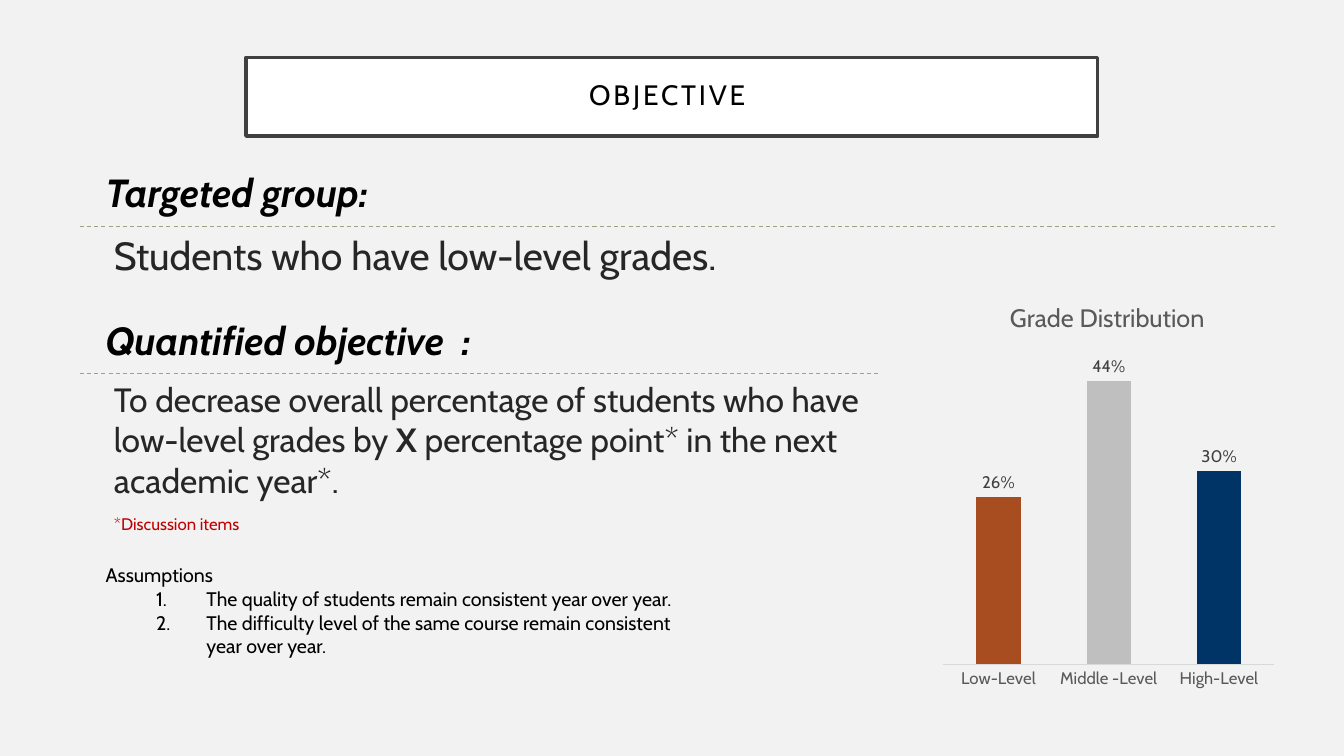
from lxml import etree
from pptx import Presentation
from pptx.chart.data import CategoryChartData
from pptx.dml.color import RGBColor
from pptx.enum.chart import XL_CHART_TYPE, XL_LABEL_POSITION, XL_TICK_MARK
from pptx.enum.dml import MSO_LINE
from pptx.enum.shapes import MSO_CONNECTOR
from pptx.enum.text import MSO_ANCHOR, MSO_AUTO_SIZE, PP_ALIGN
from pptx.oxml import parse_xml
from pptx.oxml.ns import nsdecls, qn
from pptx.util import Pt

COLUMNS = XL_CHART_TYPE.COLUMN_CLUSTERED
OUTSIDE_END = XL_LABEL_POSITION.OUTSIDE_END
NO_TICKS = XL_TICK_MARK.NONE
DASH = MSO_LINE.DASH
STRAIGHT = MSO_CONNECTOR.STRAIGHT
MIDDLE = MSO_ANCHOR.MIDDLE
FIXED_SIZE = MSO_AUTO_SIZE.NONE
LEFT, CENTER = PP_ALIGN.LEFT, PP_ALIGN.CENTER

FONT = "Cabin"
BLACK, DARK, RED = "000000", "262626", "C00000"
HEADING_LEFT = 68.4
BODY_LEFT = 38.2
RULE_LEFT = 56.9
GRADES = [
    ("Low-Level", 26, "A84D20"),
    ("Middle -Level", 44, "BFBFBF"),
    ("High-Level", 30, "003366"),
]


def rgb(value):
    return RGBColor.from_string(value)


def set_font(font, size, color, bold=False, italic=False):
    font.name = FONT
    font.size = Pt(size)
    font.color.rgb = rgb(color)
    font.bold = bold
    font.italic = italic


def place(shape, left, top, width, height):
    shape.left, shape.top = Pt(left), Pt(top)
    shape.width, shape.height = Pt(width), Pt(height)


def set_indent(para, margin, first_line=0, numbered=False):
    """Indent a paragraph and number it, or switch its bullet off."""
    properties = para._p.get_or_add_pPr()
    properties.set("marL", str(Pt(margin)))
    properties.set("indent", str(Pt(first_line)))
    if numbered:
        number = etree.SubElement(properties, qn("a:buAutoNum"))
        number.set("type", "arabicPeriod")
    else:
        etree.SubElement(properties, qn("a:buNone"))


def add_text_box(slide, left, top, width, height):
    box = slide.shapes.add_textbox(Pt(left), Pt(top), Pt(width), Pt(height))
    box.text_frame.word_wrap = True
    return box.text_frame


def add_heading(slide, text, top, width):
    para = add_text_box(slide, HEADING_LEFT, top, width, 41).paragraphs[0]
    para.text = text
    set_font(para.font, 28, BLACK, bold=True, italic=True)


def add_rule(slide, top, right):
    rule = slide.shapes.add_connector(STRAIGHT, Pt(RULE_LEFT), Pt(top), Pt(right), Pt(top))
    rule.line.color.rgb = rgb("9CA383")
    rule.line.width = Pt(0.75)
    rule.line.dash_style = DASH
    etree.SubElement(rule._element.spPr, qn("a:effectLst"))


def write_body(para, text, size, color):
    set_indent(para, 36)
    para.text = text
    para.alignment = LEFT
    para.space_before = Pt(10)
    set_font(para.font, size, color)


def fill_title(title):
    place(title, 175.7, 41, 608.4, 56.2)
    title.fill.solid()
    title.fill.fore_color.rgb = rgb("FFFFFF")
    title.line.color.rgb = rgb("404040")
    title.line.width = Pt(2.5)
    frame = title.text_frame
    frame.auto_size = FIXED_SIZE
    frame.vertical_anchor = MIDDLE
    frame.margin_left = frame.margin_right = Pt(14.4)
    frame.margin_top = frame.margin_bottom = Pt(14.4)
    para = frame.paragraphs[0]
    para.text = "OBJECTIVE "
    para.alignment = CENTER
    para.line_spacing = 0.9
    set_font(para.font, 20, BLACK)
    para.runs[0].font._element.set("spc", "200")


def fill_objective(body):
    place(body, BODY_LEFT, 267.1, 591.1, 149.8)
    frame = body.text_frame
    frame.auto_size = FIXED_SIZE
    para = frame.paragraphs[0]
    opening = "To decrease overall percentage of students who have low-level grades by "
    write_body(para, opening, 24, DARK)
    for text, bold in (("X", True), (" percentage point* in the next academic year*.", False)):
        span = para.add_run()
        span.text = text
        span.font.bold = bold
    write_body(frame.add_paragraph(), "*Discussion items", 12, RED)


def add_assumptions(slide, assumptions):
    frame = add_text_box(slide, HEADING_LEFT, 398.9, 432, 75)
    frame.paragraphs[0].text = "Assumptions"
    for text in assumptions:
        para = frame.add_paragraph()
        para.text = text
        set_indent(para, 72, -36, numbered=True)
    for para in frame.paragraphs:
        set_font(para.font, 14, BLACK)


def chart_layout(target, **fractions):
    """Layout element that fixes a chart part at fractions of the chart area."""
    modes = '<c:xMode val="edge"/><c:yMode val="edge"/>'
    sizes = "".join(f'<c:{key} val="{value}"/>' for key, value in fractions.items())
    return parse_xml(
        f'<c:layout {nsdecls("c")}><c:manualLayout>{target}{modes}{sizes}'
        "</c:manualLayout></c:layout>"
    )


def set_layout(parent, layout, position):
    for old in parent.findall(qn("c:layout")):
        parent.remove(old)
    parent.insert(position, layout)


def add_grade_chart(slide):
    data = CategoryChartData(number_format='0"%"')
    data.categories = [name for name, _, _ in GRADES]
    data.add_series("Series 1", [value for _, value, _ in GRADES])
    frame = slide.shapes.add_chart(COLUMNS, Pt(668.9), Pt(195.8), Pt(246.2), Pt(303.1), data)
    chart = frame.chart
    set_font(chart.font, 10, BLACK)
    chart.has_legend = False

    title = chart.chart_title
    para = title.text_frame.paragraphs[0]
    para.text = "Grade Distribution"
    set_font(para.font, 18, "595959")
    set_layout(title._element, chart_layout("", x=0.2, y=0.05), 1)

    category_axis = chart.category_axis
    category_axis.major_tick_mark = NO_TICKS
    category_axis.format.line.color.rgb = rgb("D9D9D9")
    category_axis.format.line.width = Pt(0.75)
    set_font(category_axis.tick_labels.font, 12, "595959")
    value_axis = chart.value_axis
    value_axis.minimum_scale, value_axis.maximum_scale = 0, 50
    value_axis.has_major_gridlines = False
    value_axis.visible = False

    plot = chart.plots[0]
    plot.gap_width, plot.overlap = 150, -25
    plot.vary_by_categories = False
    plot_area = chart._chartSpace.chart.plotArea
    inner = '<c:layoutTarget val="inner"/>'
    set_layout(plot_area, chart_layout(inner, x=0.02, y=0.16, w=0.96, h=0.76), 0)

    series = plot.series[0]
    for index, (_, _, color) in enumerate(GRADES):
        fill = series.points[index].format.fill
        fill.solid()
        fill.fore_color.rgb = rgb(color)
    labels = series.data_labels
    labels.show_value = True
    labels.position = OUTSIDE_END
    set_font(labels.font, 12, "404040")


def main():
    deck = Presentation()
    deck.slide_width, deck.slide_height = Pt(960), Pt(540)
    slide = deck.slides.add_slide(deck.slide_layouts[1])
    slide.background.fill.solid()
    slide.background.fill.fore_color.rgb = rgb("F2F2F2")

    fill_title(slide.shapes.title)
    fill_objective(slide.placeholders[1])
    add_assumptions(slide, [
        "The quality of students remain consistent year over year.",
        "The difficulty level of the same course remain consistent year over year.",
    ])
    add_grade_chart(slide)
    add_heading(slide, "Quantified objective  :", 222.5, 559.4)
    add_rule(slide, 267.1, 627.8)
    group = add_text_box(slide, BODY_LEFT, 162, 595.4, 41)
    write_body(group.paragraphs[0], "Students who have low-level grades.", 28, DARK)
    add_heading(slide, "Targeted group:", 116.6, 792.7)
    add_rule(slide, 162, 912.2)
    deck.save("out.pptx")


if __name__ == "__main__":
    main()
